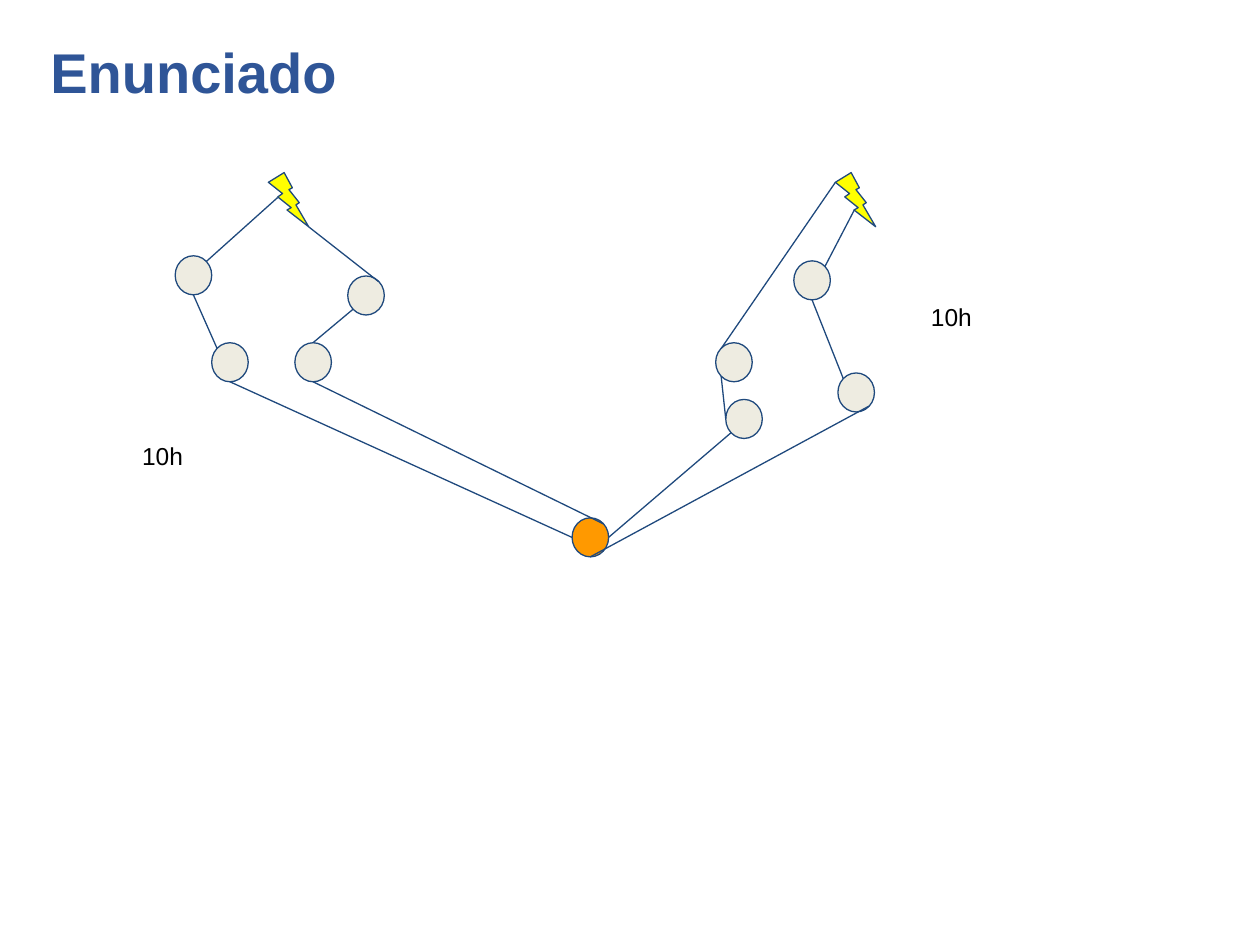
from lxml import etree
from pptx import Presentation
from pptx.dml.color import RGBColor
from pptx.enum import shapes, text
from pptx.oxml import ns
from pptx.util import Inches, Pt

COLORS = {"title": "2F5597", "text": "000000", "line": "1F497D",
          "node": "EEECE1", "hub": "FF9900", "bolt": "FFFF00"}
NODE_SIZE = (0.29, 0.31)
BOLT_SIZE = (0.32, 0.43)
NODES = {"a": (1.39, 2.03), "b": (2.76, 2.19), "c": (1.68, 2.72),
         "d": (2.34, 2.72), "e": (5.68, 2.72), "f": (6.3, 2.07),
         "g": (6.65, 2.96), "h": (5.76, 3.17), "hub": (4.54, 4.11)}
BOLTS = {"bolt1": (2.13, 1.37), "bolt2": (6.63, 1.37)}
DIAG = (0.15, 0.85)
SITES = {"top": (0.5, 0), "bottom": (0.5, 1), "left": (0, 0.5), "right": (1, 0.5),
         "top_left": (DIAG[0], DIAG[0]), "top_right": (DIAG[1], DIAG[0]),
         "bottom_left": (DIAG[0], DIAG[1]), "bottom_right": (DIAG[1], DIAG[1]),
         "ear": (0, 0.18), "upper_notch": (0.23, 0.46),
         "lower_notch": (0.47, 0.69), "tip": (1, 1)}
LINKS = [("hub", "left", "c", "bottom"), ("c", "top_left", "a", "bottom"),
         ("b", "bottom_left", "d", "top"), ("d", "bottom", "hub", "top_right"),
         ("hub", "right", "h", "bottom_left"), ("h", "left", "e", "bottom_left"),
         ("f", "bottom", "g", "top_left"), ("g", "bottom_right", "hub", "bottom"),
         ("a", "top_right", "bolt1", "upper_notch"), ("bolt1", "tip", "b", "top_right"),
         ("e", "top_left", "bolt2", "ear"), ("bolt2", "lower_notch", "f", "top_right")]


def rgb(name):
    """Return the named colour."""
    return RGBColor.from_string(COLORS[name])


def outline(sp):
    """Give a shape or connector the common line."""
    sp.line.color.rgb = rgb("line")
    sp.line.width = Pt(0.75)


def add_symbol(s, kind, pos, size, color):
    """Add a filled preset shape."""
    sp = s.shapes.add_shape(kind, *map(Inches, pos + size))
    sp.shadow.inherit = False
    sp.fill.solid()
    sp.fill.fore_color.rgb = rgb(color)
    outline(sp)


def site(name, place):
    """Return the point at a named place on a node or bolt."""
    (x, y), (w, h) = (NODES[name], NODE_SIZE) if name in NODES else (BOLTS[name], BOLT_SIZE)
    fx, fy = SITES[place]
    return Inches(x + w * fx), Inches(y + h * fy)


def add_link(s, start, start_site, end, end_site):
    """Draw a straight line between two sites."""
    c = s.shapes.add_connector(shapes.MSO_CONNECTOR.STRAIGHT,
                               *site(start, start_site), *site(end, end_site))
    outline(c)
    etree.SubElement(c._element.spPr, ns.qn("a:effectLst"))


def write(sp, words, color, frame, font):
    """Set text and apply frame and font formats."""
    tf = sp.text_frame
    for key, value in frame.items():
        setattr(tf, key, value)
    p = tf.paragraphs[0]
    p.alignment = text.PP_ALIGN.LEFT
    r = p.add_run()
    r.text = words
    r.font.color.rgb = rgb(color)
    for key, value in font.items():
        setattr(r.font, key, value)


def add_title(s, words):
    """Place and format the title placeholder."""
    sp = s.shapes.title
    box = {"left": 0.3, "top": 0.25, "width": 9.28, "height": 0.63}
    for key, value in box.items():
        setattr(sp, key, Inches(value))
    write(sp, words, "title",
          {"word_wrap": True, "auto_size": text.MSO_AUTO_SIZE.NONE,
           "vertical_anchor": text.MSO_ANCHOR.MIDDLE},
          {"name": "Arial", "size": Pt(32), "bold": True})


def add_label(s, words, x, y):
    """Add a duration label."""
    sp = s.shapes.add_textbox(*map(Inches, (x, y, 8.03, 0.94)))
    sides = ("left", "top", "right", "bottom")
    frame = {f"margin_{side}": Inches(0.1) for side in sides}
    write(sp, words, "text", {"word_wrap": True, **frame},
          {"name": "Arial", "size": Pt(14)})


def main():
    """Build the slide and save it."""
    prs = Presentation()
    prs.slide_width, prs.slide_height = Inches(10), Inches(7.5)
    s = prs.slides.add_slide(prs.slide_layouts[5])
    add_title(s, "Enunciado")
    for name, pos in NODES.items():
        add_symbol(s, shapes.MSO_SHAPE.OVAL, pos, NODE_SIZE,
                   "hub" if name == "hub" else "node")
    for pos in BOLTS.values():
        add_symbol(s, shapes.MSO_SHAPE.LIGHTNING_BOLT, pos, BOLT_SIZE, "bolt")
    for link in LINKS:
        add_link(s, *link)
    for x, y in ((1.03, 3.4), (7.29, 2.3)):
        add_label(s, "10h", x, y)
    prs.save("out.pptx")


if __name__ == "__main__":
    main()
